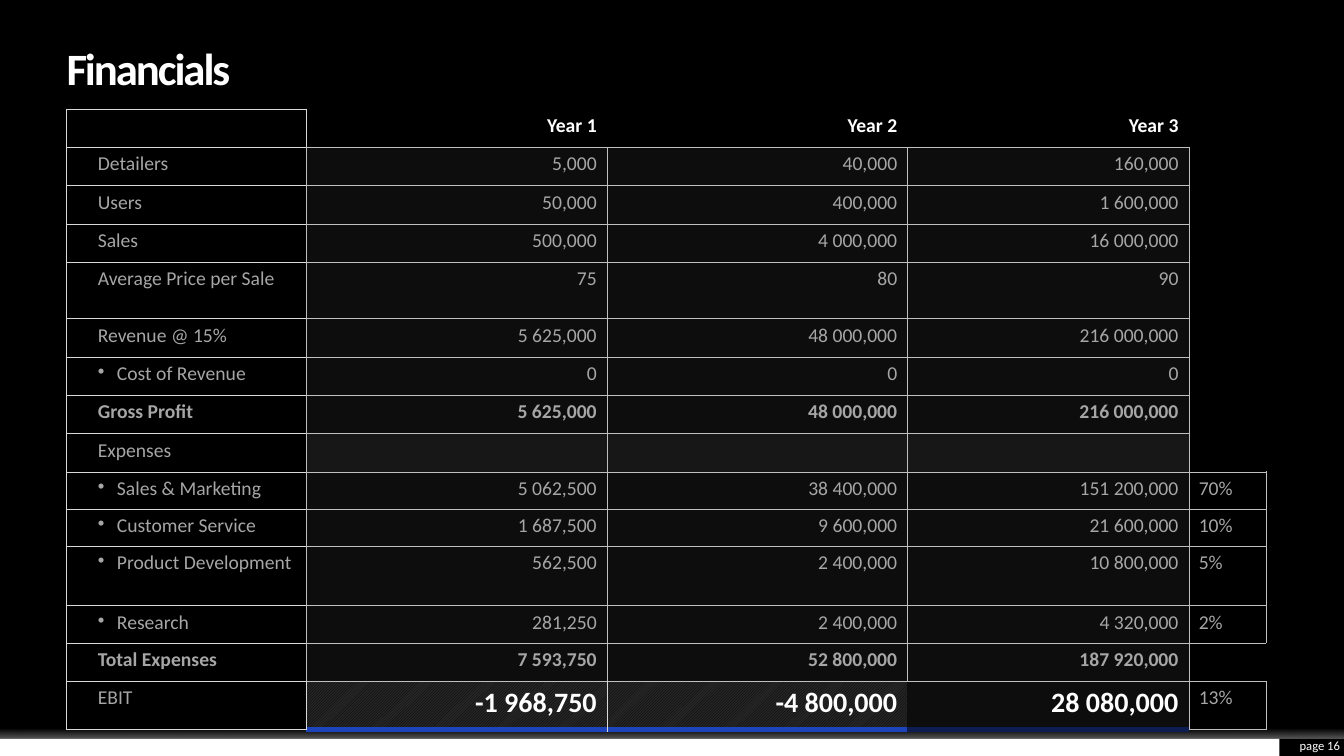
"""Build the Financials slide: a three-year table with a footer band."""
from dataclasses import dataclass

from lxml import etree
from pptx import Presentation
from pptx.dml.color import RGBColor
from pptx.enum import dml, shapes, text
from pptx.oxml import ns
from pptx.util import Inches, Pt


@dataclass(frozen=True)
class Theme:
    font: str = "Calibri"
    black: str = "000000"
    white: str = "FFFFFF"
    muted: str = "A6A6A6"
    cell: str = "0D0D0D"
    section: str = "171717"
    hatch: str = "262626"
    grid: str = "BFBFBF"
    label_grid: str = "D9D9D9"
    blue: str = "1E44BC"
    navy: str = "0D1D51"
    title_size: float = 32
    total_size: float = 20
    body_size: float = 14
    page_size: float = 9
    hairline: float = 0.23
    thick: float = 4.48


theme = Theme()


def add_run(para, words, size, color, bold=False):
    span = para.add_run()
    span.text = words
    span.font.name = theme.font
    span.font.size = Pt(size)
    span.font.bold = bold
    span.font.color.rgb = RGBColor.from_string(color)
    return span


def add_border(cell, side, color, width=theme.hairline):
    props = cell._tc.get_or_add_tcPr()
    line = etree.SubElement(props, ns.qn(f"a:ln{side}"), w=str(int(Pt(width))))
    fill = etree.SubElement(line, ns.qn("a:solidFill"))
    etree.SubElement(fill, ns.qn("a:srgbClr"), val=color)


deck = Presentation()
deck.slide_width, deck.slide_height = Inches(13.33), Inches(7.5)
page = deck.slides.add_slide(deck.slide_layouts[6])
page.background.fill.solid()
page.background.fill.fore_color.rgb = RGBColor.from_string(theme.black)

footer = page.shapes.add_shape(
    shapes.MSO_SHAPE.RECTANGLE, 0, Inches(7.33), Inches(12.69), Inches(0.17))
footer.fill.solid()
footer.fill.fore_color.rgb = RGBColor.from_string(theme.white)
glow = page.shapes.add_shape(
    shapes.MSO_SHAPE.RECTANGLE, 0, Inches(7.16), Inches(13.33), Inches(0.17))
glow.fill.gradient()
glow.fill.gradient_angle = 270
for stop, position in zip(glow.fill.gradient_stops, (0.4, 1)):
    stop.position = position
    stop.color.rgb = RGBColor.from_string(theme.white)
for tint, alpha in zip(glow._element.spPr.iter(ns.qn("a:srgbClr")), (0, 35000)):
    etree.SubElement(tint, ns.qn("a:alpha"), val=str(alpha))
for band in (footer, glow):
    band.shadow.inherit = False
    band.line.fill.background()

captions = [
    ("Financials", 0.66, 0.47, 10.91, 0.47, theme.title_size, True, text.PP_ALIGN.LEFT),
    ("page 16", 12.69, 7.31, 0.6, 0.17, theme.page_size, False, text.PP_ALIGN.RIGHT),
]
for words, left, top, width, height, size, bold, align in captions:
    box = page.shapes.add_textbox(Inches(left), Inches(top), Inches(width), Inches(height))
    frame = box.text_frame
    frame.word_wrap = True
    frame.vertical_anchor = text.MSO_ANCHOR.MIDDLE
    frame.margin_left = frame.margin_right = frame.margin_top = frame.margin_bottom = 0
    para = frame.paragraphs[0]
    para.alignment = align
    span = add_run(para, words, size, theme.white, bold)
    if bold:
        para.line_spacing = 0.9
        span._r.get_or_add_rPr().set("spc", "-150")

rows = [
    ("", "Year 1", "Year 2", "Year 3", ""),
    ("Detailers", "5,000", "40,000", "160,000", ""),
    ("Users", "50,000", "400,000", "1 600,000", ""),
    ("Sales", "500,000", "4 000,000", "16 000,000", ""),
    ("Average Price per Sale", "75", "80", "90", ""),
    ("Revenue @ 15%", "5 625,000", "48 000,000", "216 000,000", ""),
    ("Cost of Revenue", "0", "0", "0", ""),
    ("Gross Profit", "5 625,000", "48 000,000", "216 000,000", ""),
    ("Expenses", "", "", "", ""),
    ("Sales & Marketing", "5 062,500", "38 400,000", "151 200,000", "70%"),
    ("Customer Service", "1 687,500", "9 600,000", "21 600,000", "10%"),
    ("Product Development", "562,500", "2 400,000", "10 800,000", "5%"),
    ("Research", "281,250", "2 400,000", "4 320,000", "2%"),
    ("Total Expenses", "7 593,750", "52 800,000", "187 920,000", ""),
    ("EBIT", "-1 968,750", "-4 800,000", "28 080,000", "13%"),
]
widths = [2.38, 2.98, 2.98, 2.79, 0.77]
heights = [0.38] * 4 + [0.56] + [0.38] * 4 + [0.37, 0.37, 0.59, 0.37, 0.38, 0.48]
bulleted = {"Cost of Revenue", "Sales & Marketing", "Customer Service",
            "Product Development", "Research"}
subtotals = {"Gross Profit", "Total Expenses"}

holder = page.shapes.add_table(
    len(rows), len(widths), Inches(0.66), Inches(1.08),
    Inches(sum(widths)), Inches(sum(heights)))
table = holder.table
table.first_row = table.horz_banding = False
style = table._tbl.tblPr.find(ns.qn("a:tableStyleId"))
style.text = "{2D5ABB26-0587-4C30-8999-92F81FD0307C}"
for column, width in zip(table.columns, widths):
    column.width = Inches(width)
for row, height in zip(table.rows, heights):
    row.height = Inches(height)

for r, values in enumerate(rows):
    label = values[0]
    header, result = r == 0, label == "EBIT"
    for c, words in enumerate(values):
        cell = table.cell(r, c)
        is_label, is_year, is_share = c == 0, 1 <= c <= 3, c == 4
        para = cell.text_frame.paragraphs[0]
        strong = is_year and (header or result)
        size = theme.total_size if is_year and result else theme.body_size
        if is_year:
            para.alignment = text.PP_ALIGN.RIGHT
        if is_label:
            cell.margin_left = Inches(0.31)
        if is_label and label in bulleted:
            props = para._p.get_or_add_pPr()
            props.set("marL", str(Inches(0.19)))
            props.set("indent", str(-Inches(0.19)))
            etree.SubElement(props, ns.qn("a:buChar"), char="•")
        if words:
            add_run(para, words, size, theme.white if strong else theme.muted,
                    strong or label in subtotals)
        else:
            etree.SubElement(para._p, ns.qn("a:endParaRPr"), sz=str(size * 100))

        edges = {side: theme.label_grid if is_label else theme.grid for side in "LRTB"}
        if is_label and not header and not result:
            edges["R"] = theme.grid
        if is_year and header:
            edges.update(L=theme.label_grid if c == 1 else theme.black,
                         R=theme.black, T=theme.black)
        if is_year and result:
            edges = {"T": theme.grid, "B": theme.navy if c == 3 else theme.blue}
            if c == 1:
                edges["L"] = theme.label_grid
            if c == 3:
                edges["R"] = theme.grid
        if is_share and not words:
            edges = {"L": theme.black if header else theme.grid}
            if label == "Total Expenses":
                edges["T"] = theme.grid
            if label in ("Expenses", "Total Expenses"):
                edges["B"] = theme.grid
        for side in "LRTB":
            if side in edges:
                heavy = is_year and result and side == "B"
                add_border(cell, side, edges[side], theme.thick if heavy else theme.hairline)

        if is_share:
            cell.fill.background()
        elif result and c in (1, 2):
            cell.fill.patterned()
            cell.fill.pattern = dml.MSO_PATTERN.LIGHT_UPWARD_DIAGONAL
            cell.fill.fore_color.rgb = RGBColor.from_string(theme.black)
            cell.fill.back_color.rgb = RGBColor.from_string(theme.hatch)
        else:
            cell.fill.solid()
            shade = theme.black if is_label or header else theme.cell
            if is_year and label == "Expenses":
                shade = theme.section
            cell.fill.fore_color.rgb = RGBColor.from_string(shade)

deck.save("out.pptx")
